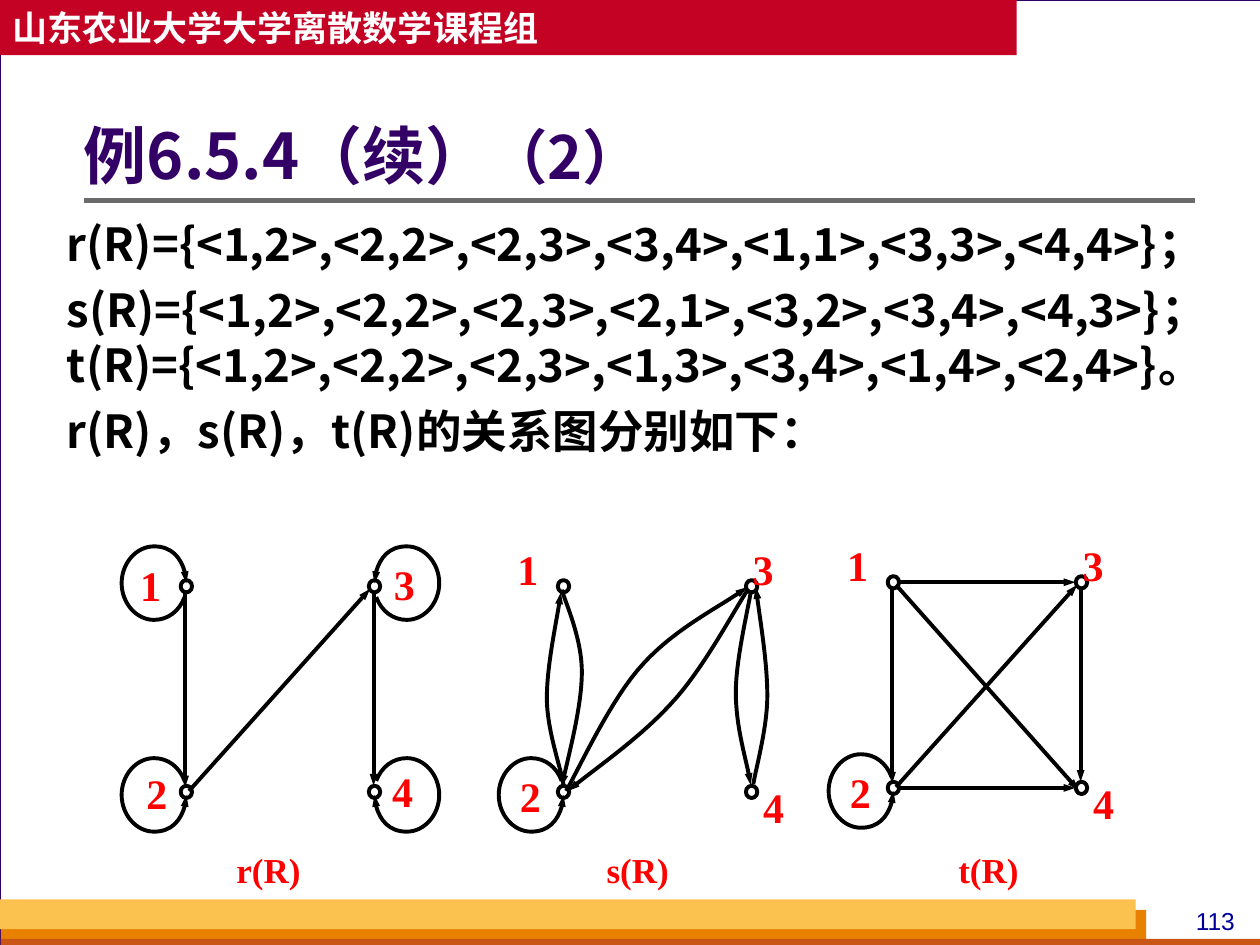
from dataclasses import dataclass, field

from lxml import etree
from pptx import Presentation
from pptx import util as u
from pptx.dml.color import RGBColor
from pptx.enum import shapes as s, text as t
from pptx.oxml import ns

Pt = u.Pt
WHITE = RGBColor(0xFF, 0xFF, 0xFF)
BLACK = RGBColor(0, 0, 0)
RED = RGBColor(0xFF, 0, 0)
NAVY = RGBColor(0, 0, 0x99)
PLUM = RGBColor(0x33, 0, 0x66)
GREY = RGBColor(0x6B, 0x6B, 0x6B)
BACK = RGBColor(0xD8, 0xDA, 0xDA)
WINE = RGBColor(0xC3, 0x02, 0x24)
AMBER = RGBColor(0xE8, 0x80, 0)
RUST = RGBColor(0xC9, 0x56, 0x16)
GOLD = RGBColor(0xFC, 0xC2, 0x4F)
HAN, SERIF = "Noto Sans CJK SC", "Times New Roman"

Spot = tuple[float, float]

# Node places, straight edges and labels, measured from node 1 in points
GAP_X, GAP_Y = 107.5, 117.5
NODES = {1: (0, 0), 2: (0, GAP_Y), 3: (GAP_X, 0), 4: (GAP_X, GAP_Y)}
EDGES = {
    (1, 2): ((-0.75, 2.5), (-0.75, 115)),
    (1, 3): ((2.5, 0), (104, 0)),
    (1, 4): ((1.5, 1.5), (106, 119)),
    (2, 3): ((1.5, 117), (105, 1.5)),
    (2, 4): ((2.5, 117.5), (104, 117.5)),
    (3, 4): ((107, 2.5), (107, 114)),
}
INNER = {1: (-33.5, -19), 2: (-30, 100), 3: (111.5, -19.5), 4: (110.5, 99)}
OUTER = {1: (-33.5, -28), 2: (-32, 102), 3: (101, -28), 4: (107, 108)}

# Bezier points: a loop about its centre, and the two-way edges of s(R)
LOOP = [(17.5, -8), (14.5, -16), (8, -21), (0, -21), (-10, -21), (-18.5, -11.5),
        (-18.5, 0), (-18.5, 11.5), (-10, 21), (0, 21), (10, 21), (18.5, 11.5),
        (18.5, 0)]
BENDS = [
    [(-1, 2), (1.5, 10), (10.5, 30), (10.5, 49), (10.5, 67.5), (2, 100.5), (-1, 114.5)],
    [(0, 113), (-1.5, 104), (-9.5, 82), (-9.5, 64), (-9.5, 46), (-3, 15.5), (-1.5, 3.5)],
    [(1.5, 117), (8.5, 105), (27, 64.5), (45, 45), (62.5, 25.5), (92.5, 10), (105, 0.5)],
    [(105, 2.5), (98, 13), (80, 47), (62.5, 66), (45, 85.5), (15, 106.5), (2.5, 117)],
    [(107, 3.5), (105.5, 13), (98.5, 42), (98.5, 60.5), (98.5, 79), (105.5, 103),
     (107, 113.5)],
    [(108.5, 113), (110, 104), (116.5, 81), (116.5, 62.5), (116.5, 44), (111.5, 13.5),
     (110, 0.5)],
]


@dataclass
class Graph:
    left: float
    top: float
    labels: dict[int, Spot]
    loops: list[int]
    edges: list[tuple[int, int]] = field(default_factory=list)
    bends: list[list[Spot]] = field(default_factory=list)

    def at(self, spot: Spot) -> Spot:
        return self.left + spot[0], self.top + spot[1]


@dataclass
class Bar:
    left: float
    top: float
    width: float
    height: float
    fill: RGBColor


GRAPHS = [
    Graph(106.5, 335, INNER, [1, 2, 3, 4], [(1, 2), (2, 3), (3, 4)]),
    Graph(322, 335, OUTER, [2], bends=BENDS),
    Graph(510.5, 332.75, OUTER, [2], list(EDGES)),
]
BARS = [Bar(0.5, 520, 654.5, 20, AMBER), Bar(0.5, 536.5, 720, 5.5, RUST),
        Bar(0, 514, 649, 17, GOLD)]
LINES = [
    "r(R)={<1,2>,<2,2>,<2,3>,<3,4>,<1,1>,<3,3>,<4,4>}；",
    "s(R)={<1,2>,<2,2>,<2,3>,<2,1>,<3,2>,<3,4>,<4,3>}；"
    "t(R)={<1,2>,<2,2>,<2,3>,<1,3>,<3,4>,<1,4>,<2,4>}。",
    "r(R)，s(R)，t(R)的关系图分别如下：",
]


def write(para, words: str, *, size: float, color=BLACK, face=HAN, bold=True, align=None):
    """Add one formatted run to a paragraph."""
    run = para.add_run()
    run.text = words
    font = run.font
    font.size, font.bold, font.name = Pt(size), bold, face
    font.color.rgb = color
    etree.SubElement(run._r.get_or_add_rPr(), ns.qn("a:ea"), typeface=face)
    if align is not None:
        para.alignment = align


def place(shape, left: float, top: float, width: float, height: float):
    shape.left, shape.top = Pt(left), Pt(top)
    shape.width, shape.height = Pt(width), Pt(height)


def block(slide, bar: Bar):
    shape = slide.shapes.add_shape(s.MSO_SHAPE.RECTANGLE, Pt(bar.left), Pt(bar.top),
                                   Pt(bar.width), Pt(bar.height))
    shape.shadow.inherit = False
    shape.fill.solid()
    shape.fill.fore_color.rgb = bar.fill
    shape.line.fill.background()
    return shape


def label(slide, spot: Spot, width: float, height: float, words: str, **fmt):
    box = slide.shapes.add_textbox(Pt(spot[0]), Pt(spot[1]), Pt(width), Pt(height))
    box.text_frame.word_wrap = True
    para = box.text_frame.paragraphs[0]
    write(para, words, **fmt)
    return para


def ink(line, color=BLACK, width=2.25, arrow=False):
    line.color.rgb, line.width = color, Pt(width)
    if arrow:
        etree.SubElement(line._get_or_add_ln(), ns.qn("a:tailEnd"),
                         type="triangle", w="sm", len="med")


def link(slide, start: Spot, end: Spot, **pen):
    wire = slide.shapes.add_connector(s.MSO_CONNECTOR.STRAIGHT,
                                      *[Pt(n) for n in (*start, *end)])
    ink(wire.line, **pen)
    etree.SubElement(wire._element.spPr, ns.qn("a:effectLst"))


def curve(slide, spots: list[Spot]):
    """Draw an arrow along cubic Bezier points."""
    first, *rest = [(Pt(x), Pt(y)) for x, y in spots]
    build = slide.shapes.build_freeform(*first)
    build.add_line_segments(rest, close=False)
    shape = build.convert_to_shape()
    shape.shadow.inherit = False
    shape.fill.background()
    ink(shape.line, arrow=True)
    steps = list(shape._element.iter(ns.qn("a:lnTo")))
    for i in range(0, len(steps), 3):
        bend = etree.SubElement(steps[i].getparent(), ns.qn("a:cubicBezTo"))
        for step in steps[i:i + 3]:
            bend.append(step[0])
            step.getparent().remove(step)


def draw(slide, graph: Graph):
    for num, spot in NODES.items():
        x, y = graph.at(spot)
        dot = slide.shapes.add_shape(s.MSO_SHAPE.OVAL, Pt(x - 3.25), Pt(y - 3.5),
                                     Pt(6.5), Pt(7))
        dot.shadow.inherit = False
        dot.fill.background()
        ink(dot.line)
        label(slide, graph.at(graph.labels[num]), 39.5, 58, str(num), size=24,
              color=RED, face=SERIF, align=t.PP_ALIGN.JUSTIFY)
    for num in graph.loops:
        x, y = graph.at(NODES[num])
        side = 1 if num < 3 else -1
        down = 1 if num % 2 == 0 else -1
        curve(slide, [(x + side * (a - 18.5), y + down * (b + 1.75)) for a, b in LOOP])
    for pair in graph.edges:
        start, end = EDGES[pair]
        link(slide, graph.at(start), graph.at(end), arrow=True)
    for bend in graph.bends:
        curve(slide, [graph.at(spot) for spot in bend])


def main():
    deck = Presentation()
    deck.slide_width, deck.slide_height = Pt(720), Pt(540)
    slide = deck.slides.add_slide(deck.slide_layouts[1])
    title, body = slide.placeholders
    slide.background.fill.solid()
    slide.background.fill.fore_color.rgb = BACK

    # Frame, bars and page number
    page = block(slide, Bar(0, 0, 720.5, 540, WHITE))
    ink(page.line, PLUM, 0.75)
    for bar in BARS:
        block(slide, bar)
    label(slide, (672, 514), 45, 24.5, "113", size=14, color=NAVY, face="Arial",
          bold=False, align=t.PP_ALIGN.CENTER)
    link(slide, (48, 114.5), (683, 114.5), color=GREY, width=3)
    head = block(slide, Bar(0, 0, 581, 31.5, WINE)).text_frame
    head.word_wrap, head.vertical_anchor = False, t.MSO_ANCHOR.MIDDLE
    write(head.paragraphs[0], "山东农业大学大学离散数学课程组", size=20, color=WHITE,
          align=t.PP_ALIGN.LEFT)

    # Title and list, brought in front of the frame
    for holder in (title, body):
        slide.shapes._spTree.append(holder._element)
        holder.text_frame.auto_size = t.MSO_AUTO_SIZE.NONE
    place(title, 48, 54.5, 635, 73)
    title.text_frame.margin_left = 0
    title.text_frame.vertical_anchor = t.MSO_ANCHOR.MIDDLE
    para = title.text_frame.paragraphs[0]
    para.line_spacing = 0.9
    write(para, "例6.5.4（续）", size=36, color=PLUM, align=t.PP_ALIGN.LEFT)
    write(para, "（2）", size=34, color=PLUM)
    place(body, 31, 120, 673, 361.5)
    for i, words in enumerate(LINES):
        para = body.text_frame.add_paragraph() if i else body.text_frame.paragraphs[0]
        para.line_spacing, para.space_before = 1.0, Pt(6.5 if i else 0)
        props = para._p.get_or_add_pPr()
        props.set("marL", "0")
        props.set("indent", "0")
        etree.SubElement(props, ns.qn("a:buNone"))
        write(para, words, size=26)

    # Relation graphs and their captions
    for graph in GRAPHS:
        draw(slide, graph)
    para = label(slide, (73.5, 481.5), 538, 58, "\tr(R)\ts(R)\tt(R)", size=20,
                 color=RED, face=SERIF)
    tabs = etree.SubElement(para._p.get_or_add_pPr(), ns.qn("a:tabLst"))
    for stop in (54.5, 266, 467):
        etree.SubElement(tabs, ns.qn("a:tab"), pos=str(Pt(stop)), algn="l")
    deck.save("out.pptx")


if __name__ == "__main__":
    main()
